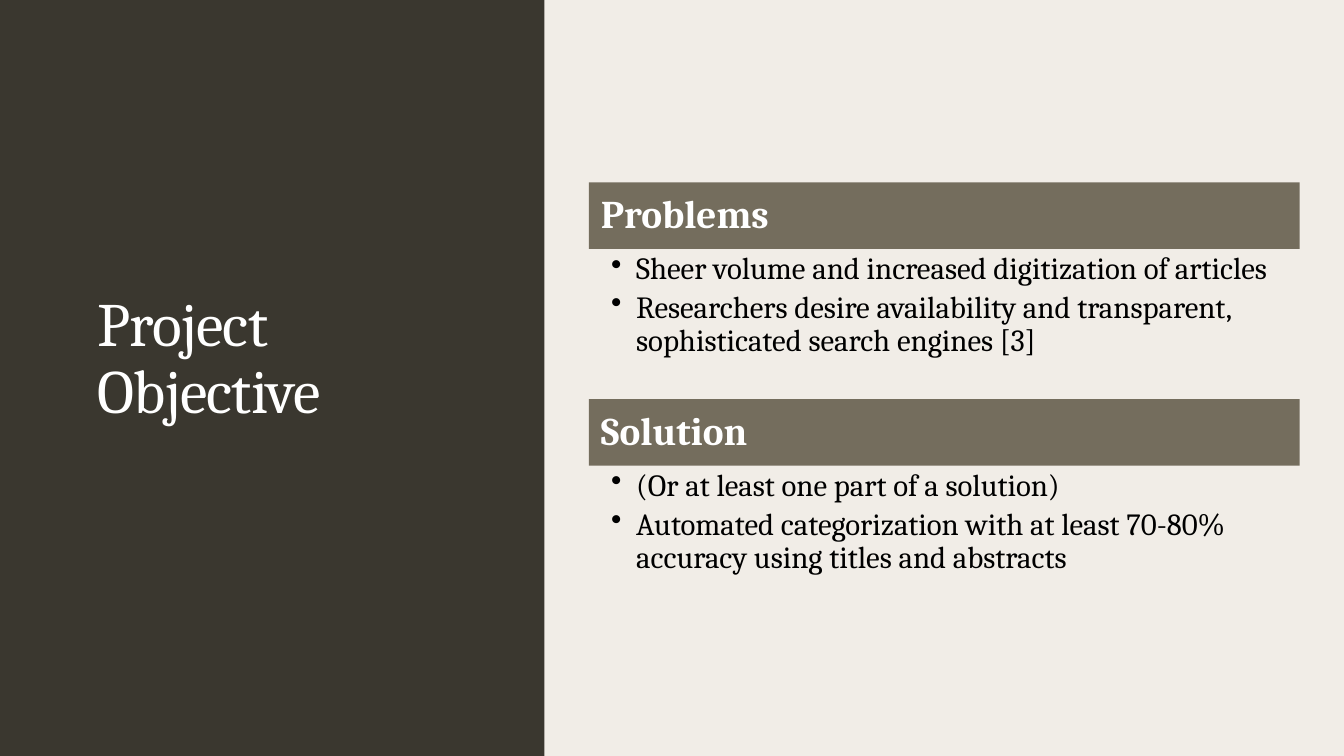
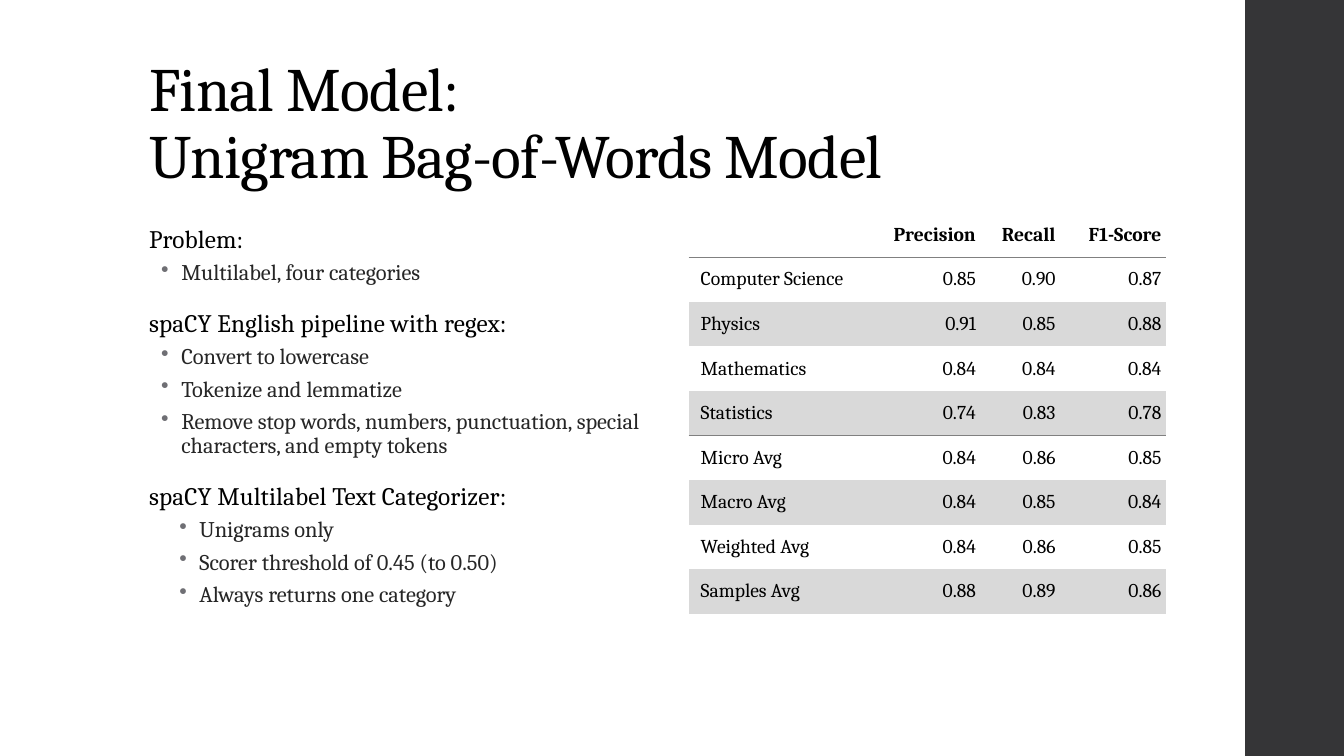
"""Build two slides on a text categorization project."""
from lxml import etree
from pptx import Presentation
from pptx import util as u
from pptx.dml import color
from pptx.enum import shapes, text
from pptx.oxml import ns

COLORS = {
    "cream": "F1EDE7", "olive": "3A372F", "taupe": "746D5D",
    "white": "FFFFFF", "black": "000000", "charcoal": "353537",
    "body": "262626", "bullet": "6F6F74", "stripe": "D9D9D9", "rule": "808080",
}
WIDTH, HEIGHT = 13.33, 7.5
NO_GRID_STYLE = "{2D5ABB26-0587-4C30-8999-92F81FD0307C}"
STYLES = {
    "title": {"size": 44, "line": 0.9, "tracking": -50},
    "heading": {"size": 28, "color": "white", "bold": True, "line": 0.9},
    "point": {"size": 22, "line": 0.9, "after": 4,
              "indent": 0.25, "hanging": 0.25, "bullet": "black"},
    "topic": {"size": 18, "line": 0.95, "before": 14, "after": 2, "tracking": 10},
    "detail": {"size": 16, "color": "body", "line": 0.9, "before": 3, "after": 3,
               "indent": 0.32, "hanging": 0.2, "bullet": "bullet"},
    "header": {"size": 14, "bold": True, "align": text.PP_ALIGN.RIGHT},
    "label": {"size": 14, "indent": 0.07},
    "number": {"size": 14, "align": text.PP_ALIGN.RIGHT},
}
STYLES["deep detail"] = {**STYLES["detail"], "indent": 0.5}


class Deck:
    """Hold the shared style and the current slide."""

    def __init__(self):
        """Start a wide presentation."""
        self.presentation = Presentation()
        self.presentation.slide_width = u.Inches(WIDTH)
        self.presentation.slide_height = u.Inches(HEIGHT)
        self.slide = None

    def paint(self, fill, name):
        """Give a fill one solid named colour."""
        fill.solid()
        fill.fore_color.rgb = color.RGBColor.from_string(COLORS[name])

    def add_slide(self, background):
        """Add a blank slide with a background colour."""
        self.slide = self.presentation.slides.add_slide(self.presentation.slide_layouts[6])
        self.paint(self.slide.background.fill, background)

    def set_paragraph(self, paragraph, words, style, **changes):
        """Set the words and format of one paragraph."""
        look = {"color": "black", **STYLES[style], **changes}
        paragraph.text = words
        layout = {
            "alignment": look.get("align", text.PP_ALIGN.LEFT),
            "line_spacing": look.get("line", 1.0),
            "space_before": u.Pt(look.get("before", 0)),
            "space_after": u.Pt(look.get("after", 0)),
        }
        for name, value in layout.items():
            setattr(paragraph, name, value)
        properties = paragraph._p.get_or_add_pPr()
        properties.set("marL", str(u.Inches(look.get("indent", 0))))
        properties.set("indent", str(-u.Inches(look.get("hanging", 0))))
        if "bullet" in look:
            tint = etree.SubElement(properties, ns.qn("a:buClr"))
            etree.SubElement(tint, ns.qn("a:srgbClr"), val=COLORS[look["bullet"]])
            etree.SubElement(properties, ns.qn("a:buChar"), char="•")
        font_values = {"name": "Cambria", "size": u.Pt(look["size"]),
                       "bold": look.get("bold", False)}
        for run in paragraph.runs:
            for name, value in font_values.items():
                setattr(run.font, name, value)
            run.font.color.rgb = color.RGBColor.from_string(COLORS[look["color"]])
            run._r.get_or_add_rPr().set("spc", str(look.get("tracking", 0)))

    def fill_frame(self, frame, lines, anchor, insets=(0.1, 0.05), **changes):
        """Fill a text frame with (style, words) lines."""
        across, down = map(u.Inches, insets)
        values = {"word_wrap": True, "vertical_anchor": anchor,
                  "margin_left": across, "margin_right": across,
                  "margin_top": down, "margin_bottom": down}
        for name, value in values.items():
            setattr(frame, name, value)
        for index, (style, words) in enumerate(lines):
            paragraph = frame.add_paragraph() if index else frame.paragraphs[0]
            self.set_paragraph(paragraph, words, style, **changes)

    def rectangle(self, left, top, width, height, name):
        """Add a plain filled rectangle."""
        shape = self.slide.shapes.add_shape(
            shapes.MSO_SHAPE.RECTANGLE, *map(u.Inches, (left, top, width, height)))
        shape.shadow.inherit = False
        shape.line.fill.background()
        self.paint(shape.fill, name)
        return shape

    def text_box(self, left, top, width, height, lines, anchor=text.MSO_ANCHOR.TOP, **options):
        """Add a text box of (style, words) lines."""
        box = self.slide.shapes.add_textbox(*map(u.Inches, (left, top, width, height)))
        self.fill_frame(box.text_frame, lines, anchor, **options)

    def title(self, left, top, width, words, name):
        """Add a slide title that sits on the bottom of its box."""
        self.text_box(left, top, width, 1.45, [("title", words)],
                      text.MSO_ANCHOR.BOTTOM, color=name)

    def section(self, top, height, heading, points):
        """Add a heading bar with bullet points below."""
        left, width, bar_height = 5.84, 7.05, 0.66
        bar = self.rectangle(left, top, width, bar_height, "taupe")
        self.fill_frame(bar.text_frame, [("heading", heading)],
                        text.MSO_ANCHOR.MIDDLE, (0.12, 0.12))
        self.text_box(left, top + bar_height, width, height,
                      [("point", point) for point in points], insets=(0.22, 0.04))

    def table(self, left, top, height, widths, rows, ruled_rows):
        """Add a striped table with rules below some rows."""
        table = self.slide.shapes.add_table(
            len(rows), len(widths),
            *map(u.Inches, (left, top, sum(widths), height))).table
        table.first_row = table.horz_banding = False
        table._tbl.tblPr.find(ns.qn("a:tableStyleId")).text = NO_GRID_STYLE
        for column, width in zip(table.columns, widths):
            column.width = u.Inches(width)
        for row_index, row in enumerate(rows):
            for column_index, words in enumerate(row):
                cell = table.cell(row_index, column_index)
                style = "header" if row_index == 0 else "number" if column_index else "label"
                self.set_paragraph(cell.text_frame.paragraphs[0], words, style)
                cell.vertical_anchor = text.MSO_ANCHOR.MIDDLE
                for side in ("left", "right", "top", "bottom"):
                    setattr(cell, f"margin_{side}", u.Inches(0.05))
                if row_index and row_index % 2 == 0:
                    self.paint(cell.fill, "stripe")
                else:
                    cell.fill.background()
                if row_index in ruled_rows:
                    self.rule_below(cell)

    def rule_below(self, cell):
        """Draw a line on the bottom edge of a cell."""
        line = etree.Element(ns.qn("a:lnB"), w=str(u.Pt(1)))
        fill = etree.SubElement(line, ns.qn("a:solidFill"))
        etree.SubElement(fill, ns.qn("a:srgbClr"), val=COLORS["rule"])
        cell._tc.get_or_add_tcPr().insert(0, line)


def main():
    """Build and save the presentation."""
    deck = Deck()

    deck.add_slide("cream")
    deck.rectangle(0, 0, 5.4, HEIGHT, "olive")
    deck.title(0.87, 2.83, 3.63, "Project Objective", "white")
    deck.section(1.81, 1.49, "Problems", [
        "Sheer volume and increased digitization of articles",
        "Researchers desire availability and transparent, sophisticated search engines [3]",
    ])
    deck.section(3.96, 1.17, "Solution", [
        "(Or at least one part of a solution)",
        "Automated categorization with at least 70-80% accuracy using titles and abstracts",
    ])

    deck.add_slide("white")
    deck.rectangle(12.35, 0, WIDTH - 12.35, HEIGHT, "charcoal")
    deck.title(1.38, 0.5, 10.6, "Final Model:\nUnigram Bag-of-Words Model", "black")
    deck.text_box(1.38, 2.19, 5.45, 3.91, [
        ("topic", "Problem:"),
        ("detail", "Multilabel, four categories"),
        ("topic", "spaCY English pipeline with regex:"),
        ("detail", "Convert to lowercase"),
        ("detail", "Tokenize and lemmatize"),
        ("detail", "Remove stop words, numbers, punctuation, special characters, and empty tokens"),
        ("topic", "spaCY Multilabel Text Categorizer:"),
        ("deep detail", "Unigrams only"),
        ("deep detail", "Scorer threshold of 0.45 (to 0.50)"),
        ("deep detail", "Always returns one category"),
    ])
    deck.table(6.83, 2.11, 3.98, (1.81, 1.09, 0.79, 1.05), [
        ("", "Precision", "Recall", "F1-Score"),
        ("Computer Science", "0.85", "0.90", "0.87"),
        ("Physics", "0.91", "0.85", "0.88"),
        ("Mathematics", "0.84", "0.84", "0.84"),
        ("Statistics", "0.74", "0.83", "0.78"),
        ("Micro Avg", "0.84", "0.86", "0.85"),
        ("Macro Avg", "0.84", "0.85", "0.84"),
        ("Weighted Avg", "0.84", "0.86", "0.85"),
        ("Samples Avg", "0.88", "0.89", "0.86"),
    ], ruled_rows=(0, 4))

    deck.presentation.save("out.pptx")


if __name__ == "__main__":
    main()
